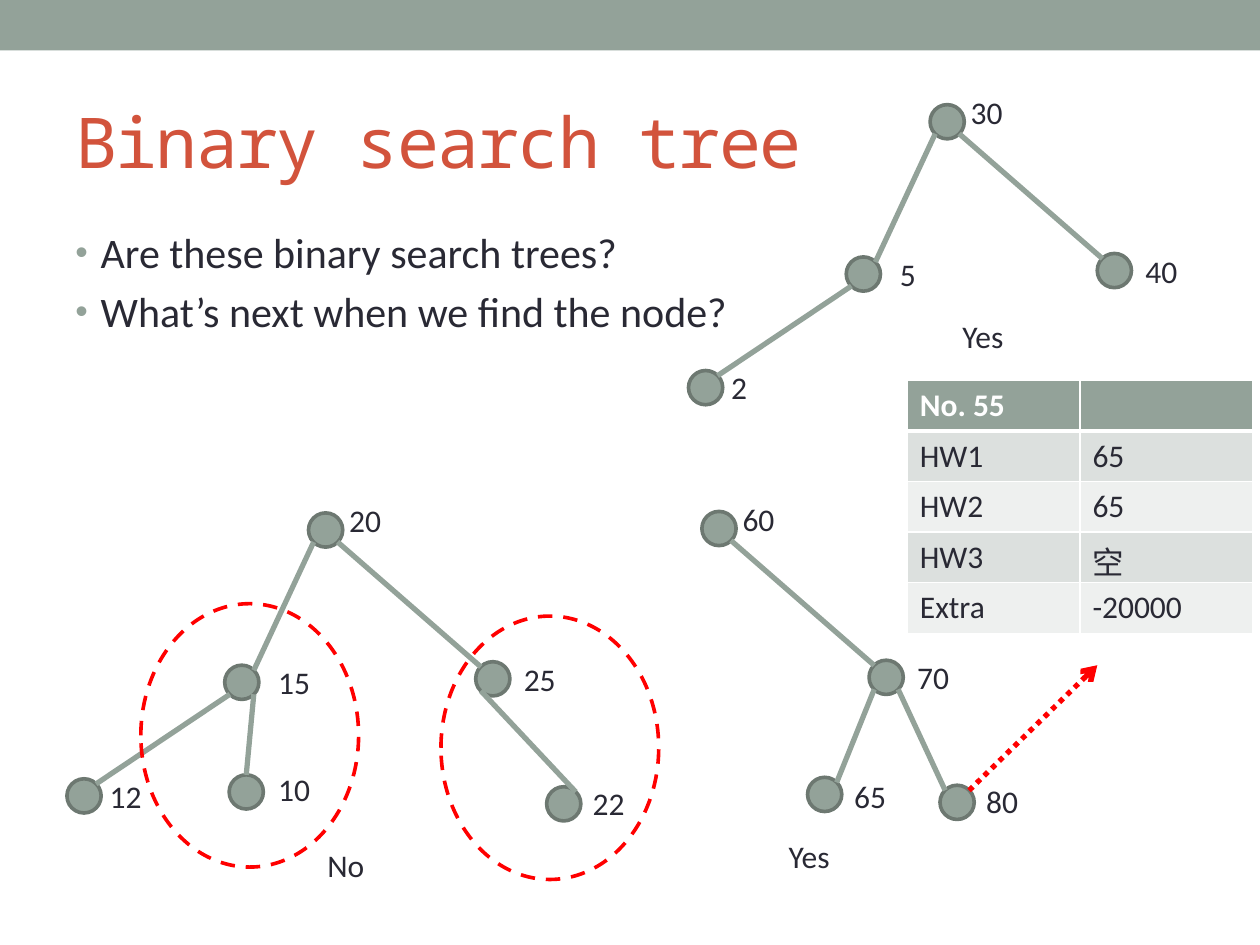
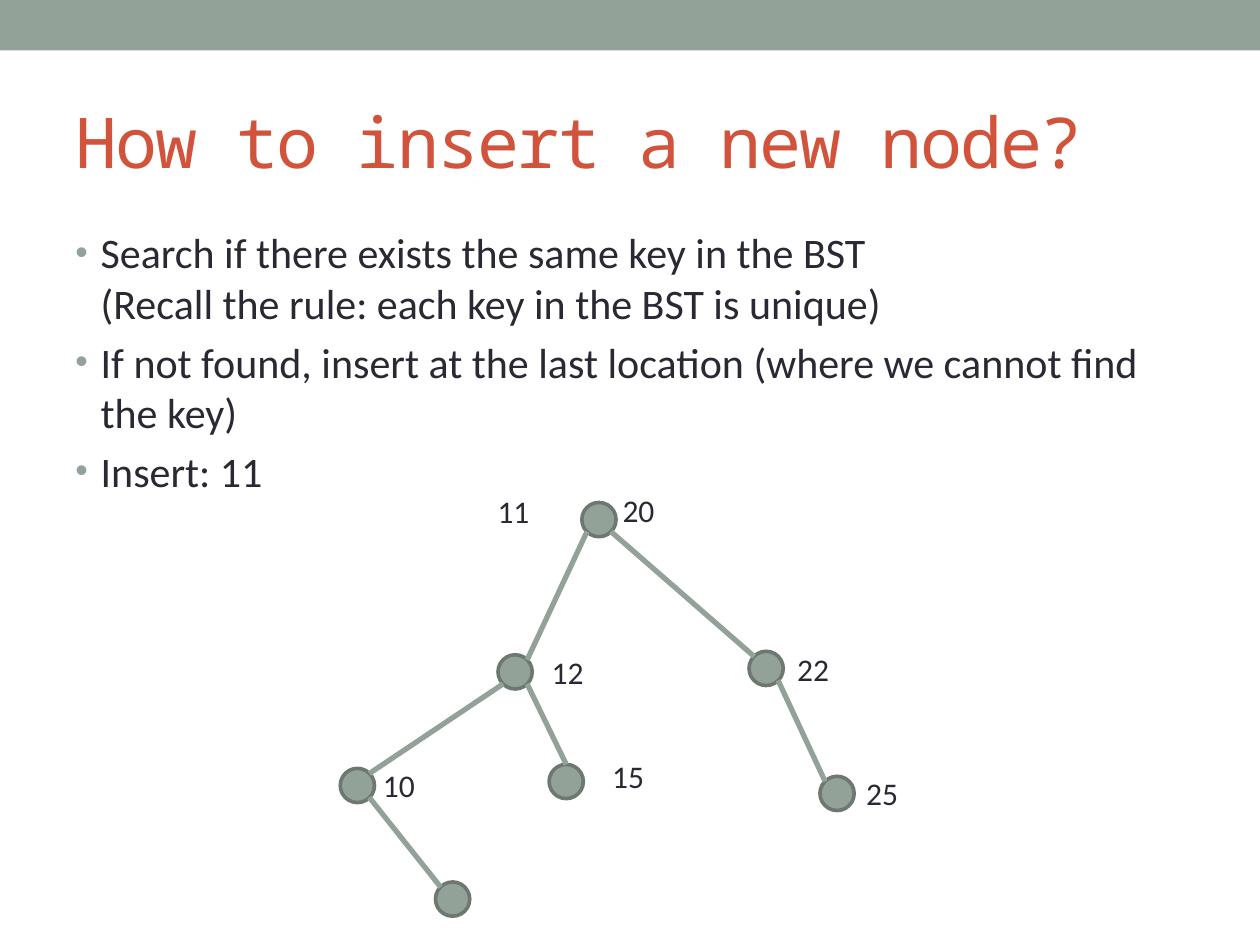
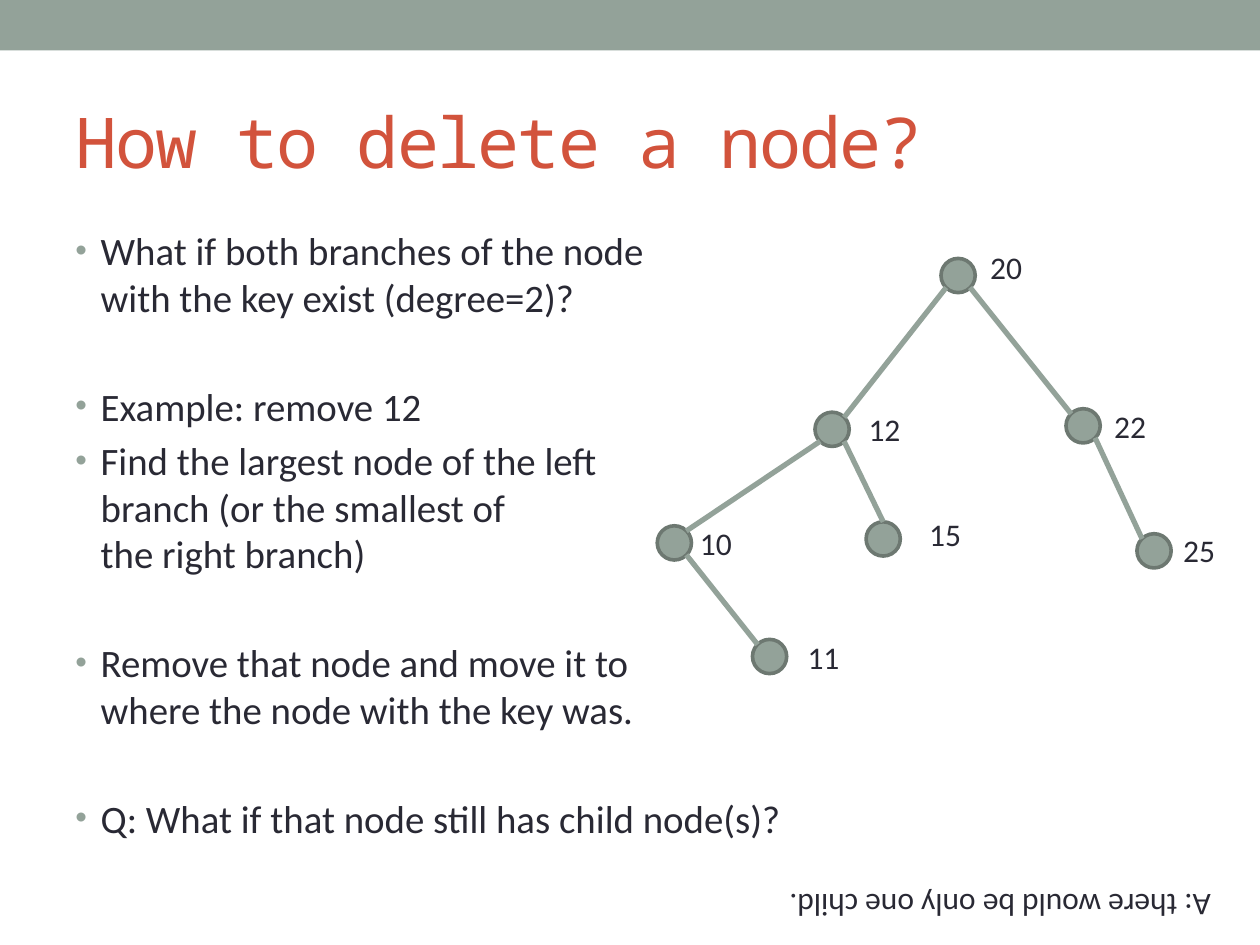
from dataclasses import dataclass, replace

from lxml import etree
from pptx import Presentation
from pptx.dml.color import RGBColor
from pptx.enum.dml import MSO_LINE
from pptx.enum.shapes import MSO_CONNECTOR, MSO_SHAPE
from pptx.enum.text import MSO_ANCHOR, MSO_AUTO_SIZE
from pptx.oxml.ns import qn
from pptx.util import Cm, Pt

STRAIGHT = MSO_CONNECTOR.STRAIGHT
RECTANGLE, OVAL = MSO_SHAPE.RECTANGLE, MSO_SHAPE.OVAL
DASH, DOT = MSO_LINE.DASH, MSO_LINE.ROUND_DOT
MIDDLE = MSO_ANCHOR.MIDDLE
FIT_SHAPE = MSO_AUTO_SIZE.SHAPE_TO_FIT_TEXT

SAGE = RGBColor(0x93, 0xA2, 0x99)
SAGE_DARK = RGBColor(0x6D, 0x78, 0x71)
SAGE_LIGHT = RGBColor(0xDC, 0xE0, 0xDE)
SAGE_PALE = RGBColor(0xEE, 0xF0, 0xEF)
BRICK = RGBColor(0xD2, 0x53, 0x3C)
INK = RGBColor(0x29, 0x29, 0x34)
RED = RGBColor(0xFF, 0x00, 0x00)
WHITE = RGBColor(0xFF, 0xFF, 0xFF)

TITLE_FONT, BODY_FONT = "Noto Sans Mono", "Calibri"
LABEL_SIZE = 18
OUTLINE = 2.08
NODE = 0.69
NEAR, CENTRE, FAR = 0.15, 0.5, 0.85
LABEL_HEIGHT = 1.02


@dataclass(frozen=True)
class Slot:
    """Place of a node from the tree's origin, and of its label from the node."""
    x: float
    y: float
    label_x: float
    label_y: float


ROOT = Slot(0, 0, 0.57, -0.36)
SLOTS = {
    "": ROOT,
    "L": Slot(-1.69, 3.07, 0.83, -0.16),
    "R": Slot(3.37, 3.0, 0.72, -0.16),
    "LL": Slot(-4.87, 5.36, 0.61, -0.17),
    "LR": Slot(-0.66, 5.28, 1.02, -0.27),
    "RL": Slot(2.13, 5.36, 0.69, -0.13),
    "RR": Slot(4.8, 5.52, 0.68, -0.18),
    "LLR": Slot(-2.95, 7.65, 0.86, -0.15),
}
LOW_LEFT_RIGHT = replace(SLOTS["LR"], x=-1.6, label_x=0.74, label_y=-0.23)
SPREAD_ROOT = replace(ROOT, x=0.85, y=-0.03, label_x=0.74, label_y=-0.33)


def box(left, top, width, height):
    """Turn a box in centimetres into lengths."""
    return Cm(left), Cm(top), Cm(width), Cm(height)


def add_run(paragraph, text, size, color=INK, font=BODY_FONT, bold=False):
    """Add one formatted run and return it."""
    run = paragraph.add_run()
    run.text = text
    run.font.size, run.font.name, run.font.bold = Pt(size), font, bold
    run.font.color.rgb = color
    return run


def add_label(slide, text, left, top, width):
    """Add a one-line label and return its box."""
    label = slide.shapes.add_textbox(*box(left, top, width, LABEL_HEIGHT))
    label.text_frame.word_wrap = False
    label.text_frame.auto_size = FIT_SHAPE
    add_run(label.text_frame.paragraphs[0], text, LABEL_SIZE)
    return label


def add_line(slide, start, end, color):
    """Draw a straight line between two points and return it."""
    line = slide.shapes.add_connector(STRAIGHT, *map(Cm, start + end))
    line.line.color.rgb = color
    line.line.width = Pt(3)
    etree.SubElement(line._element.spPr, qn("a:effectLst"))
    return line


def add_oval(slide, place, fill, outline):
    """Draw an ellipse, hollow when no fill is given, and return it."""
    oval = slide.shapes.add_shape(OVAL, *box(*place))
    oval.shadow.inherit = False
    if fill is None:
        oval.fill.background()
    else:
        oval.fill.solid()
        oval.fill.fore_color.rgb = fill
    oval.line.color.rgb = outline
    oval.line.width = Pt(OUTLINE)
    return oval


def add_ring(slide, left, top):
    """Draw a dashed red ring around a faulty subtree."""
    add_oval(slide, (left, top, 4.39, 5.31), None, RED).line.dash_style = DASH


def rim(node, across, down):
    """Return the point at the given shares of a node's width and height."""
    return node[0] + across * NODE, node[1] + down * NODE


def add_tree(slide, left, top, keys, moved=None):
    """Draw nodes, labels and edges from an origin and return node places."""
    slots = SLOTS | (moved or {})
    nodes = {way: (left + slots[way].x, top + slots[way].y) for way in keys}
    for way, key in keys.items():
        x, y = nodes[way]
        add_oval(slide, (x, y, NODE, NODE), SAGE, SAGE_DARK)
        if key:
            add_label(slide, key, x + slots[way].label_x,
                      y + slots[way].label_y, 0.51 + 0.36 * len(key))
    for way in filter(None, nodes):
        leave, enter = (NEAR, FAR) if way[-1] == "L" else (FAR, NEAR)
        landing = (CENTRE, 0) if way == "LR" else (enter, NEAR)
        add_line(slide, rim(nodes[way[:-1]], leave, FAR),
                 rim(nodes[way], *landing), SAGE)
    return nodes


def add_bullet(paragraph):
    """Give a paragraph a hanging round bullet."""
    properties = paragraph._p.get_or_add_pPr()
    properties.set("marL", str(Cm(0.51)))
    properties.set("indent", str(-Cm(0.51)))
    color = etree.SubElement(properties, qn("a:buClr"))
    etree.SubElement(color, qn("a:srgbClr"), val=str(SAGE))
    etree.SubElement(properties, qn("a:buSzPct"), val="85000")
    etree.SubElement(properties, qn("a:buFont"), typeface="Arial")
    etree.SubElement(properties, qn("a:buChar"), char="•")


def add_body(slide, groups, size=24):
    """Write bullets, with a wide gap between groups."""
    frame = slide.shapes.add_textbox(*box(1.27, 4.45, 22.86, 13.54)).text_frame
    frame.word_wrap = True
    for group_index, group in enumerate(groups):
        for index, bullet in enumerate(group):
            first = group_index == index == 0
            paragraph = frame.paragraphs[0] if first else frame.add_paragraph()
            add_bullet(paragraph)
            if not first:
                paragraph.space_before = Pt(0.2 * size if index else 1.6 * size)
            for line_index, line in enumerate(bullet.split("\n")):
                if line_index:
                    paragraph.add_line_break()
                add_run(paragraph, line, size)


def add_base(deck, title):
    """Add a slide with the top band and its title."""
    slide = deck.slides.add_slide(deck.slide_layouts[6])
    band = slide.shapes.add_shape(RECTANGLE, *box(0, 0, 25.4, 1.02))
    band.shadow.inherit = False
    band.fill.solid()
    band.fill.fore_color.rgb = SAGE
    band.line.fill.background()
    frame = slide.shapes.add_textbox(*box(1.27, 1.47, 22.86, 2.74)).text_frame
    frame.word_wrap = True
    frame.vertical_anchor = MIDDLE
    heading = add_run(frame.paragraphs[0], title, 40, BRICK, TITLE_FONT)
    heading.font._element.set("spc", "-100")
    return slide


def add_border(cell, side, points):
    """Draw one white cell border."""
    line = etree.SubElement(cell._tc.get_or_add_tcPr(), qn(f"a:{side}"),
                            w=str(Pt(points)))
    fill = etree.SubElement(line, qn("a:solidFill"))
    etree.SubElement(fill, qn("a:srgbClr"), val=str(WHITE))


def add_scores(slide, left, top):
    """Add the table of homework scores."""
    rows = [("No. 55", ""), ("HW1", "65"), ("HW2", "65"), ("HW3", "空"),
            ("Extra", "-20000")]
    table = slide.shapes.add_table(
        len(rows), 2, *box(left, top, 6.96, 1.02 * len(rows))).table
    table.horz_banding = False
    for row, texts in enumerate(rows):
        header = row == 0
        fill = SAGE if header else SAGE_LIGHT if row % 2 else SAGE_PALE
        for column, text in enumerate(texts):
            cell = table.cell(row, column)
            add_border(cell, "lnL", 1)
            add_border(cell, "lnR", 1)
            add_border(cell, "lnT", 3 if row == 1 else 1)
            add_border(cell, "lnB", 3 if header else 1)
            cell.fill.solid()
            cell.fill.fore_color.rgb = fill
            if text:
                add_run(cell.text_frame.paragraphs[0], text, LABEL_SIZE,
                        WHITE if header else INK, bold=header)


def add_score_arrow(slide, start, end):
    """Point a dotted red arrow at the scores."""
    arrow = add_line(slide, start, end, RED).line
    arrow.dash_style = DOT
    etree.SubElement(arrow._get_or_add_ln(), qn("a:tailEnd"), type="arrow")


def build_search(deck):
    """Build the slide that asks which trees are search trees."""
    slide = add_base(deck, "Binary search tree")
    add_body(slide, [["Are these binary search trees?",
                      "What’s next when we find the node?"]])
    add_tree(slide, 6.22, 10.34,
             {"": "20", "L": "15", "R": "25", "LL": "12", "LR": "10", "RL": "22"},
             {"LR": LOW_LEFT_RIGHT, "RL": SLOTS["RR"]})
    add_tree(slide, 18.75, 2.11, {"": "30", "L": "5", "R": "40", "LL": "2"})
    scored = add_tree(slide, 14.15, 10.31,
                      {"": "60", "R": "70", "RL": "65", "RR": "80"})
    for verdict, left, top, width in [("Yes", 19.15, 6.27, 1.55),
                                      ("No", 6.35, 16.94, 1.32),
                                      ("Yes", 15.65, 16.74, 1.55)]:
        add_label(slide, verdict, left, top, width)
    add_ring(slide, 8.89, 12.42)
    add_scores(slide, 18.29, 7.67)
    add_score_arrow(slide, rim(scored["RR"], FAR, NEAR), (22.12, 13.41))
    add_ring(slide, 2.84, 12.17)


def build_insert(deck):
    """Build the slide on inserting a node."""
    slide = add_base(deck, "How to insert a new node?")
    add_body(slide, [[
        "Search if there exists the same key in the BST\n"
        "(Recall the rule: each key in the BST is unique)",
        "If not found, insert at the last location (where we cannot find the key)",
        "Insert: 11"]])
    add_tree(slide, 11.73, 10.13, EXAMPLE | {"LLR": ""})
    add_label(slide, "11", 9.78, 9.8, 1.23)


def build_delete(deck):
    """Build the slide on deleting a node."""
    slide = add_base(deck, "How to delete a node?")
    add_body(slide, [
        ["What if both branches of the node\nwith the key exist (degree=2)?"],
        ["Example: remove 12",
         "Find the largest node of the left\nbranch (or the smallest of\n"
         "the right branch)"],
        ["Remove that node and move it to\nwhere the node with the key was."],
        ["Q: What if that node still has child node(s)?"]], 22.2)
    add_tree(slide, 18.12, 5.24, EXAMPLE | {"LLR": "11"}, {"": SPREAD_ROOT})
    answer = add_label(slide, "A: there would be only one child.",
                       15.52, 17.78, 9.14)
    answer.rotation = 180


EXAMPLE = {"": "20", "L": "12", "R": "22", "LL": "10", "LR": "15", "RR": "25"}


def main():
    """Build and save the deck."""
    deck = Presentation()
    deck.slide_width, deck.slide_height = Cm(25.4), Cm(19.05)
    build_search(deck)
    build_insert(deck)
    build_delete(deck)
    deck.save("out.pptx")


if __name__ == "__main__":
    main()
